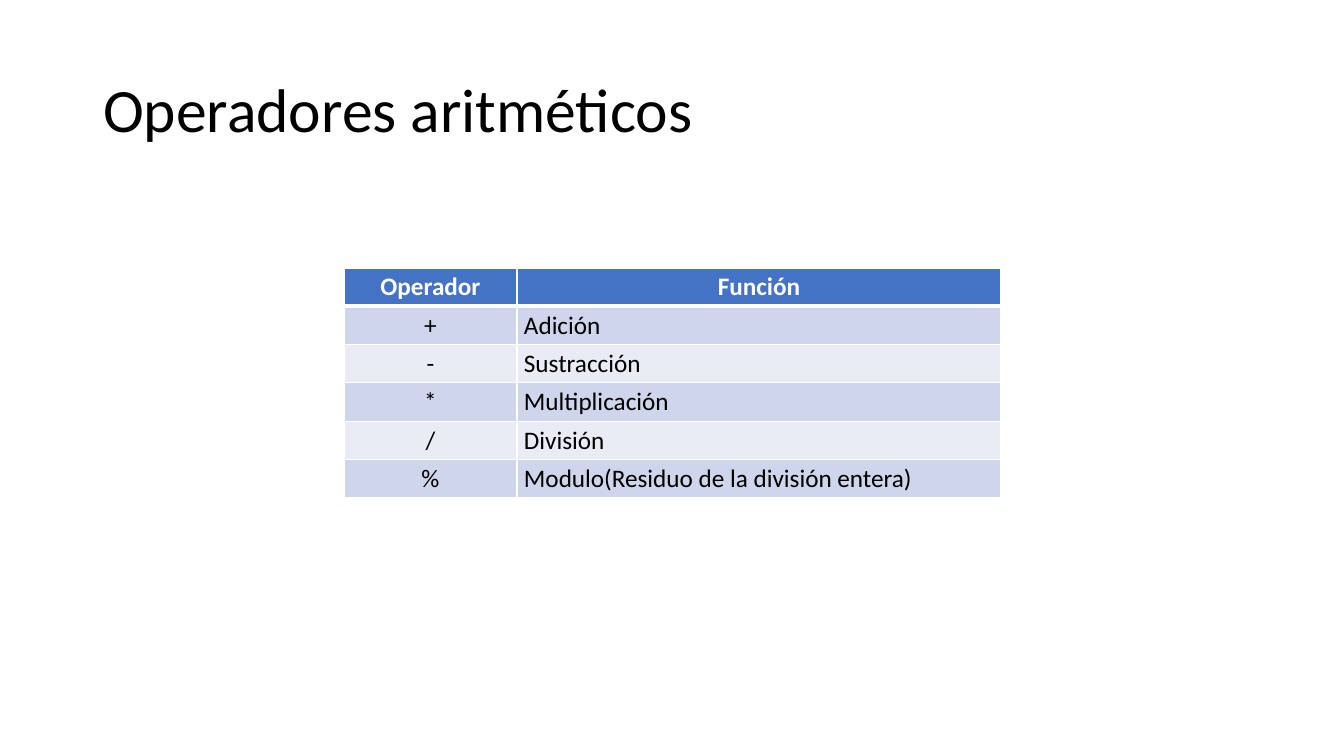
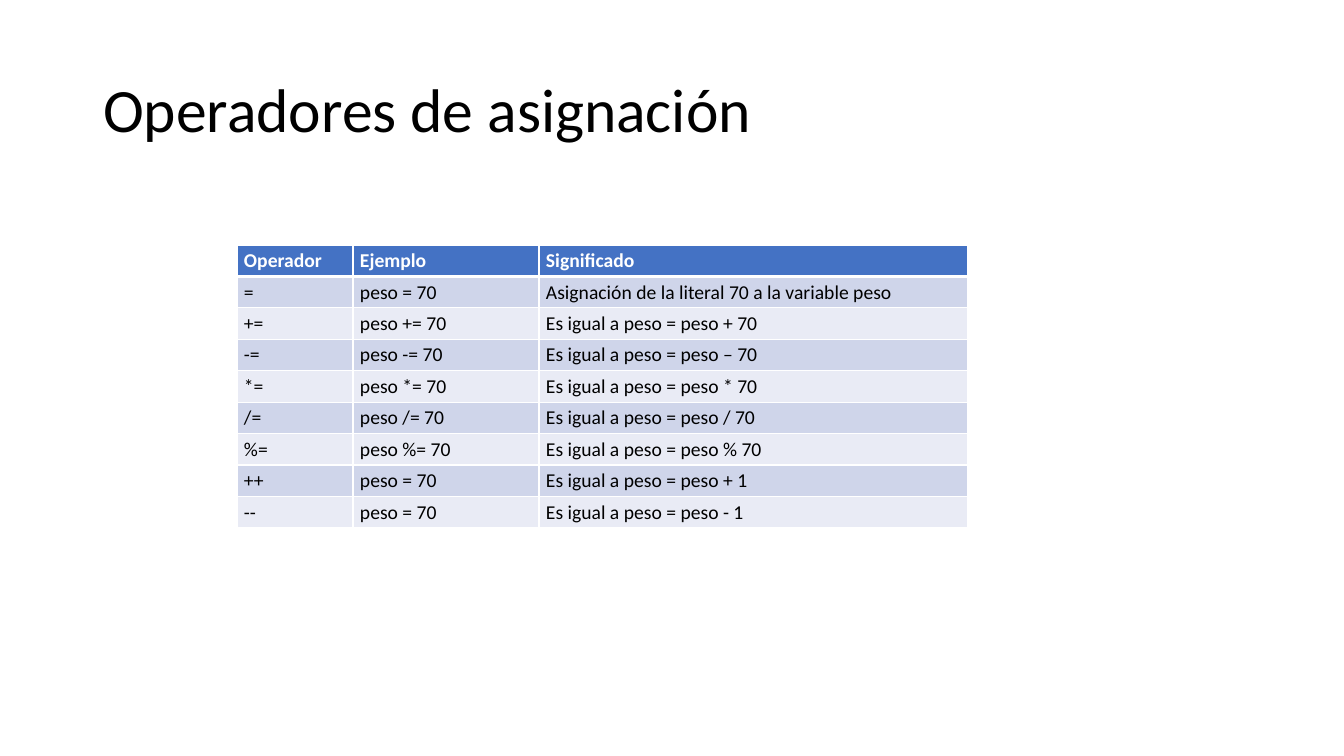
from dataclasses import dataclass

from lxml import etree
from pptx import Presentation
from pptx import util as u
from pptx.dml.color import RGBColor
from pptx.enum import text
from pptx.oxml.ns import qn

PX = 914400 / 100.8  # EMU in one px
SLIDE = (1344, 756)
TITLE_BOX = (93, 40, 1159, 146)
CELL_INSETS = (7, 4, 7, 3)  # left, top, right, bottom


@dataclass(frozen=True)
class Theme:
    font: str = "Calibri"
    title_size: int = 44
    ink: str = "000000"
    paper: str = "FFFFFF"
    header: str = "4472C4"
    bands: tuple = ("CFD5EA", "E9EBF5")
    rule: int = 1
    header_rule: int = 3


THEME = Theme()
LEFT, CENTER = text.PP_ALIGN.LEFT, text.PP_ALIGN.CENTER

SLIDES = [
    dict(
        title="Operadores aritméticos",
        at=(344, 268), height=230, cols=(173, 484), size=18,
        header_align=(CENTER, CENTER), body_align=(CENTER, LEFT),
        rows=[
            ("Operador", "Función"),
            ("+", "Adición"),
            ("-", "Sustracción"),
            ("*", "Multiplicación"),
            ("/", "División"),
            ("%", "Modulo(Residuo de la división entera)"),
        ],
    ),
    dict(
        title="Operadores de asignación",
        at=(237, 245), height=283, cols=(116, 186, 429), size=14,
        header_align=(LEFT,) * 3, body_align=(LEFT,) * 3,
        rows=[
            ("Operador", "Ejemplo", "Significado"),
            ("=", "peso = 70", "Asignación de la literal 70 a la variable peso"),
            ("+=", "peso += 70", "Es igual a peso = peso + 70"),
            ("-=", "peso -= 70", "Es igual a peso = peso – 70"),
            ("*=", "peso *= 70", "Es igual a peso = peso * 70"),
            ("/=", "peso /= 70", "Es igual a peso = peso / 70"),
            ("%=", "peso %= 70", "Es igual a peso = peso % 70"),
            ("++", "peso = 70", "Es igual a peso = peso + 1"),
            ("--", "peso = 70", "Es igual a peso = peso - 1"),
        ],
    ),
]


def px(n):
    return u.Emu(round(n * PX))


def format_runs(p, size, color, bold=False):
    for r in p.runs:
        f = r.font
        f.name, f.size, f.bold = THEME.font, u.Pt(size), bold
        f.color.rgb = RGBColor.from_string(color)


def add_title(s, title):
    sp = s.shapes.title
    sp.left, sp.top, sp.width, sp.height = map(px, TITLE_BOX)
    tf = sp.text_frame
    tf.text = title
    tf.word_wrap = True
    tf.vertical_anchor = text.MSO_ANCHOR.MIDDLE
    p = tf.paragraphs[0]
    p.alignment, p.line_spacing = LEFT, 0.9
    format_runs(p, THEME.title_size, THEME.ink)


def set_borders(cell, row):
    """Rule all four sides, with a thicker line between header and body."""
    top = THEME.header_rule if row == 1 else THEME.rule
    bottom = THEME.header_rule if row == 0 else THEME.rule
    tcPr = cell._tc.get_or_add_tcPr()
    sides = (("lnL", THEME.rule), ("lnR", THEME.rule), ("lnT", top), ("lnB", bottom))
    for i, (side, width) in enumerate(sides):
        ln = etree.Element(qn("a:" + side), w=str(u.Pt(width)))
        fill = etree.SubElement(ln, qn("a:solidFill"))
        etree.SubElement(fill, qn("a:srgbClr"), val=THEME.paper)
        tcPr.insert(i, ln)


def format_cell(cell, row, size, align):
    header = row == 0
    fill = THEME.header if header else THEME.bands[(row - 1) % 2]
    cell.fill.solid()
    cell.fill.fore_color.rgb = RGBColor.from_string(fill)
    (cell.margin_left, cell.margin_top,
     cell.margin_right, cell.margin_bottom) = map(px, CELL_INSETS)
    p = cell.text_frame.paragraphs[0]
    p.alignment = align
    format_runs(p, size, THEME.paper if header else THEME.ink, header)
    set_borders(cell, row)


def add_operator_table(s, spec):
    rows, cols = spec["rows"], spec["cols"]
    box = (*spec["at"], sum(cols), spec["height"])
    table = s.shapes.add_table(len(rows), len(cols), *map(px, box)).table
    for column, width in zip(table.columns, cols):
        column.width = px(width)
    for i, values in enumerate(rows):
        table.rows[i].height = px(spec["height"] / len(rows))
        aligns = spec["body_align"] if i else spec["header_align"]
        for j, (value, align) in enumerate(zip(values, aligns)):
            cell = table.cell(i, j)
            cell.text_frame.text = value
            format_cell(cell, i, spec["size"], align)


def main():
    prs = Presentation()
    prs.slide_width, prs.slide_height = map(px, SLIDE)
    for spec in SLIDES:
        s = prs.slides.add_slide(prs.slide_layouts[5])
        add_title(s, spec["title"])
        add_operator_table(s, spec)
    prs.save("out.pptx")


if __name__ == "__main__":
    main()
